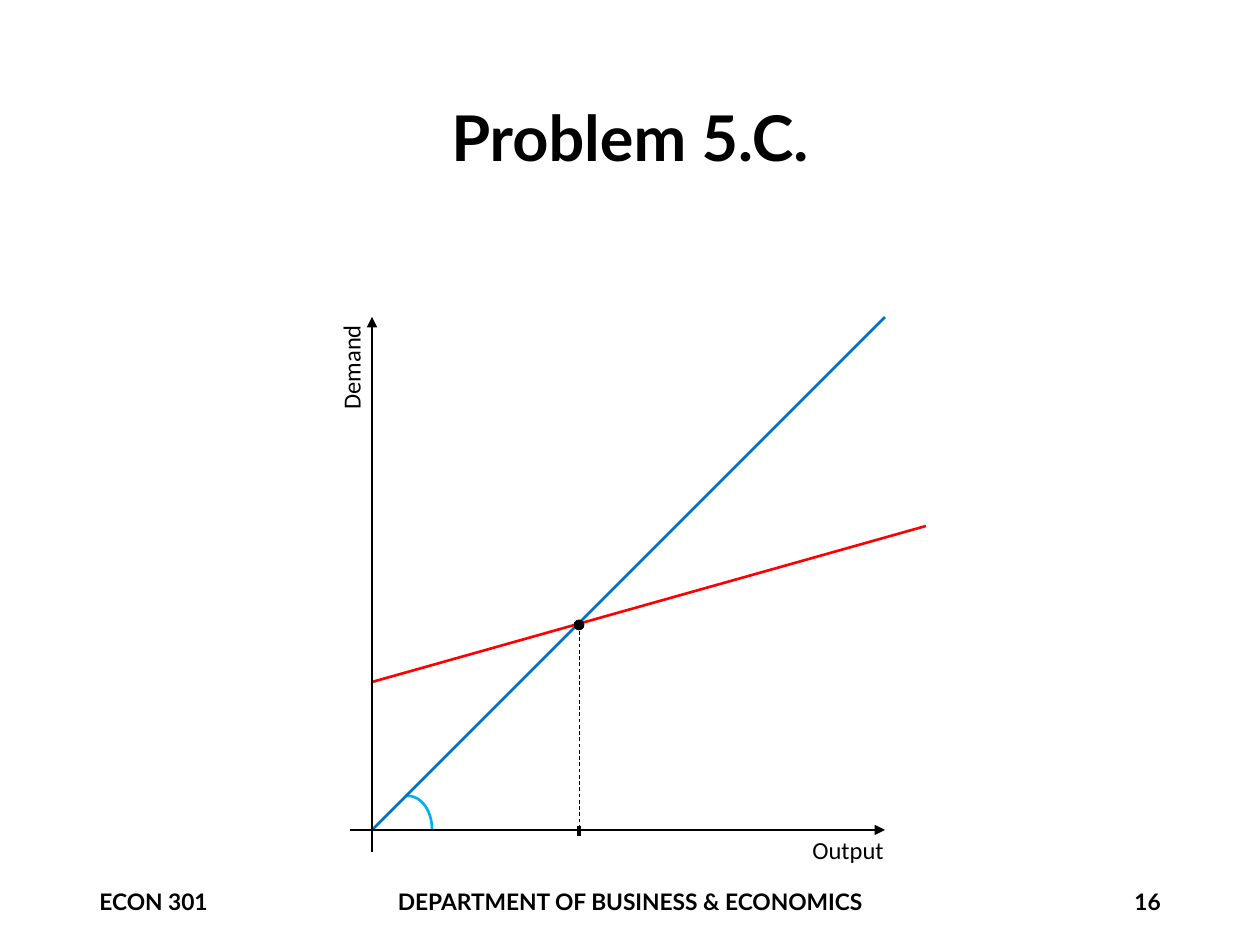
import pptx
import pptx.dml.color
import pptx.enum.dml
import pptx.enum.shapes
import pptx.enum.text
import pptx.oxml
import pptx.oxml.ns
import pptx.util

EMU_PER_PX = 914400 / 126
COLOURS = {
    "black": "000000",
    "identity": "0070C0",
    "demand": "FF0000",
    "angle": "00B0F0",
}
ALIGN = pptx.enum.text.PP_ALIGN
ANCHOR = pptx.enum.text.MSO_ANCHOR
SHAPE = pptx.enum.shapes.MSO_SHAPE

# Diagram geometry in px
ORIGIN_X, ORIGIN_Y = 372, 830
AXIS_END_X, AXIS_END_Y = 885, 317
AXIS_OVERHANG = 22
BALANCE_X, BALANCE_Y = 579, 625


def px(length):
    return pptx.util.Emu(round(length * EMU_PER_PX))


def colour(name):
    return pptx.dml.color.RGBColor.from_string(COLOURS[name])


def format_text(frame, text, size, font, bold=False, align=ALIGN.LEFT):
    frame.text = text
    para = frame.paragraphs[0]
    para.alignment = align
    for span in para.runs:
        span.font.size = pptx.util.Pt(size)
        span.font.name = font
        span.font.bold = bold
        span.font.color.rgb = colour("black")


def add_title(page, text):
    title = page.shapes.title
    title.left, title.top, title.width, title.height = map(px, (87, 50, 1086, 183))
    title.text_frame.vertical_anchor = ANCHOR.MIDDLE
    format_text(title.text_frame, text, 36, "Lato", True, ALIGN.CENTER)
    title.text_frame.paragraphs[0].line_spacing = 0.9


def add_footer(page, text, left, width, align):
    box = page.shapes.add_textbox(px(left), px(876), px(width), px(50))
    box.text_frame.word_wrap = True
    box.text_frame.vertical_anchor = ANCHOR.MIDDLE
    format_text(box.text_frame, text, 13, "Lato", True, align)


def add_axis_label(page, text, left, top, width, rotation=0):
    box = page.shapes.add_textbox(px(left), px(top), px(width), px(43))
    box.rotation = rotation
    box.text_frame.word_wrap = False
    box.text_frame.auto_size = pptx.enum.text.MSO_AUTO_SIZE.SHAPE_TO_FIT_TEXT
    format_text(box.text_frame, text, 14, "Calibri")


def add_line(page, start, end, line_colour="black", weight=1.5, dashed=False, arrow=False):
    line = page.shapes.add_connector(
        pptx.enum.shapes.MSO_CONNECTOR.STRAIGHT, *map(px, (*start, *end)))
    line.line.color.rgb = colour(line_colour)
    line.line.width = pptx.util.Pt(weight)
    if dashed:
        line.line.dash_style = pptx.enum.dml.MSO_LINE.DASH
    if arrow:
        head = pptx.oxml.parse_xml(
            f'<a:tailEnd {pptx.oxml.ns.nsdecls("a")} type="triangle"/>')
        line.line._get_or_add_ln().append(head)
    line._element.spPr.append(
        pptx.oxml.parse_xml(f'<a:effectLst {pptx.oxml.ns.nsdecls("a")}/>'))


def add_angle_mark(page):
    arc = page.shapes.add_shape(SHAPE.ARC, px(384), px(796), px(48), px(66))
    arc.adjustments[0] = 159.74
    arc.adjustments[1] = 0
    arc.shadow.inherit = False
    arc.fill.background()
    arc.line.color.rgb = colour("angle")
    arc.line.width = pptx.util.Pt(1.5)


def add_balance_point(page):
    radius = 4.5
    dot = page.shapes.add_shape(
        SHAPE.OVAL, px(BALANCE_X - radius), px(BALANCE_Y - radius),
        px(2 * radius), px(2 * radius))
    dot.shadow.inherit = False
    dot.fill.solid()
    dot.fill.fore_color.rgb = colour("black")
    dot.line.color.rgb = colour("black")
    dot.line.width = pptx.util.Pt(1)


def add_diagram(page):
    origin = (ORIGIN_X, ORIGIN_Y)
    add_angle_mark(page)
    add_line(page, origin, (AXIS_END_X, AXIS_END_Y), "identity")
    add_line(page, (ORIGIN_X, 682), (926, 526), "demand")
    add_line(page, (ORIGIN_X - AXIS_OVERHANG, ORIGIN_Y), (AXIS_END_X, ORIGIN_Y), arrow=True)
    add_line(page, (ORIGIN_X, ORIGIN_Y + AXIS_OVERHANG), (ORIGIN_X, AXIS_END_Y), arrow=True)
    add_axis_label(page, "Output", 800, 829, 98)
    add_axis_label(page, "Demand", 296, 345, 111, 270)
    add_line(page, (BALANCE_X, BALANCE_Y), (BALANCE_X, ORIGIN_Y), weight=0.5, dashed=True)
    add_balance_point(page)
    add_line(page, (BALANCE_X, ORIGIN_Y - 4), (BALANCE_X, ORIGIN_Y + 6), weight=2.25)


def main():
    deck = pptx.Presentation()
    deck.slide_width, deck.slide_height = px(1260), px(945)
    page = deck.slides.add_slide(deck.slide_layouts[5])
    add_title(page, "Problem 5.C.")
    add_footer(page, "ECON 301", 87, 284, ALIGN.LEFT)
    add_footer(page, "DEPARTMENT OF BUSINESS & ECONOMICS", 233, 794, ALIGN.CENTER)
    add_footer(page, "16", 889, 284, ALIGN.RIGHT)
    add_diagram(page)
    deck.save("out.pptx")


if __name__ == "__main__":
    main()
